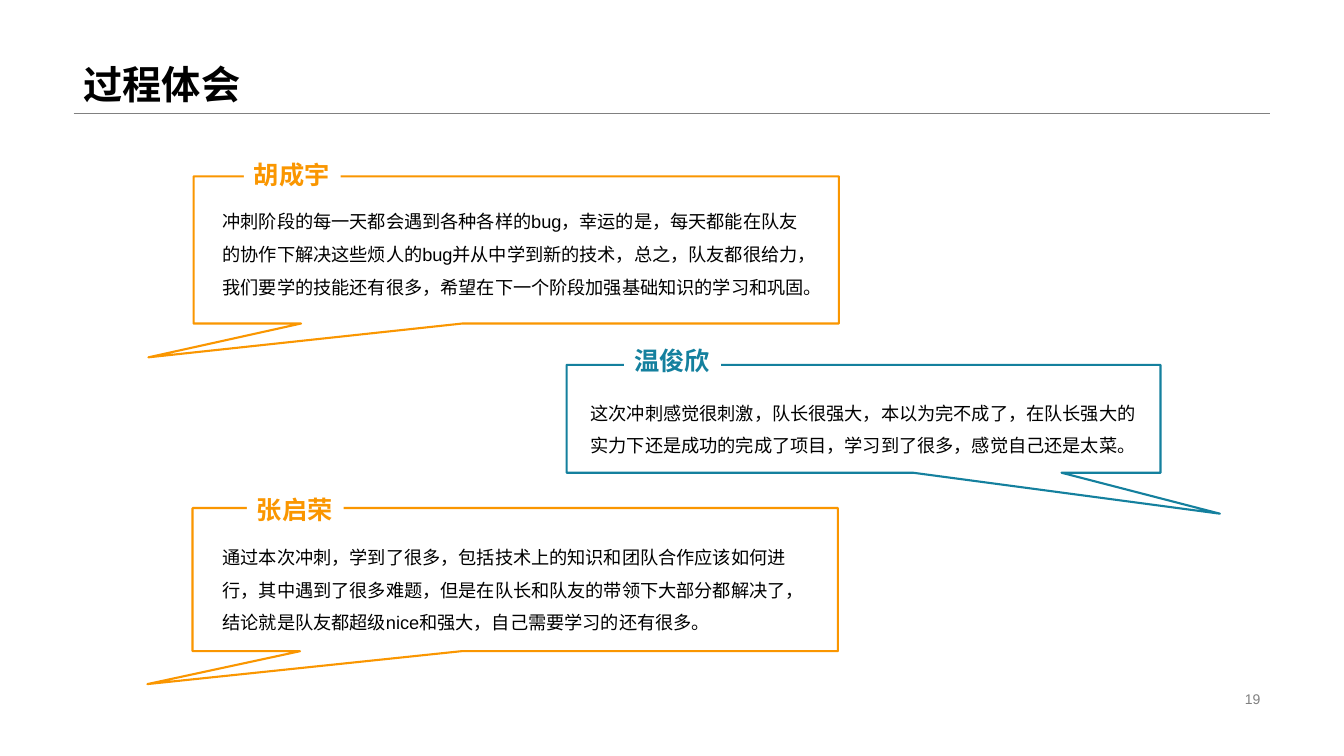
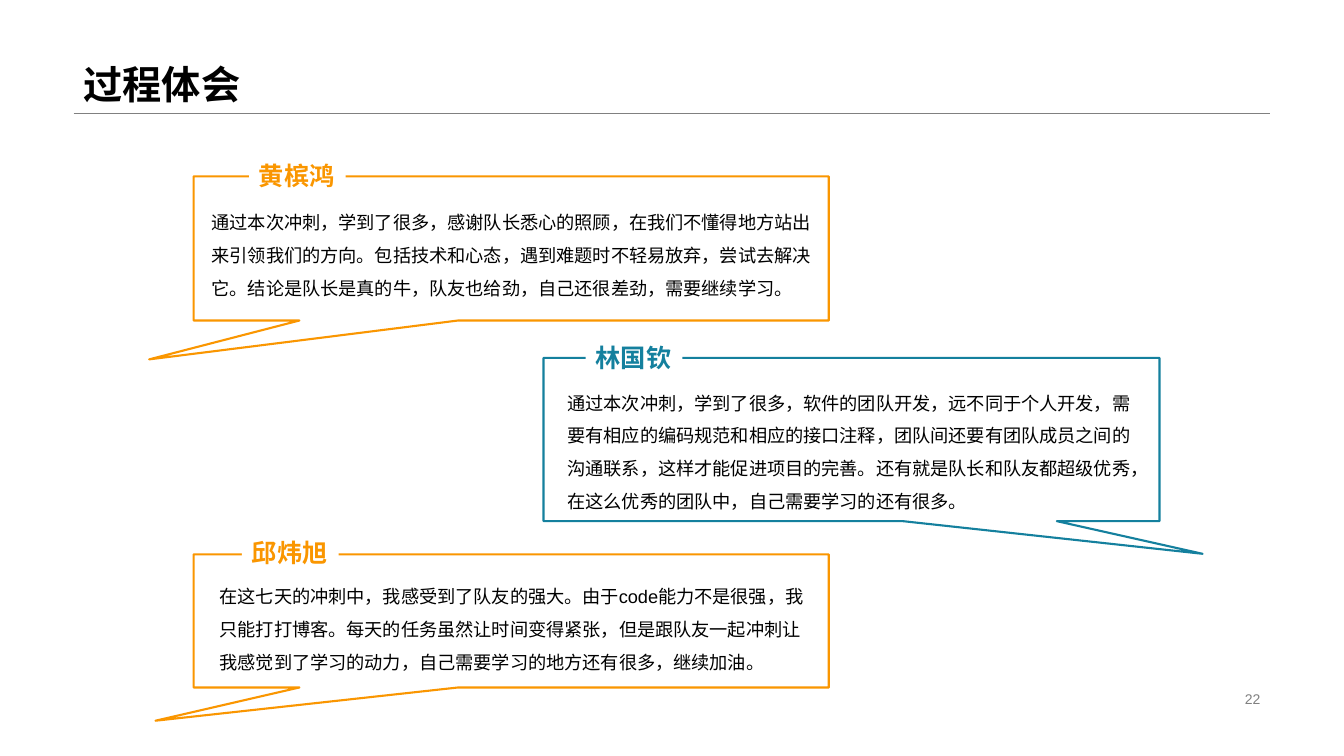
from lxml import etree
from pptx import Presentation
from pptx.dml.color import RGBColor
from pptx.enum import lang, shapes, text
from pptx.oxml.ns import qn
from pptx.util import Inches, Pt

ORANGE, TEAL = "FA9600", "14809E"
BLACK, GRAY, WHITE = "000000", "808080", "FFFFFF"
FONT = "Arial"
LEFT, WIDTH, RULE_TOP = 0.73, 11.87, 1.12
TAG_SIZE = (0.96, 0.4)
TITLE_ONLY = 5


def rgb(value):
    return RGBColor.from_string(value)


def inches(*lengths):
    return [Inches(length) for length in lengths]


class Deck:
    """Holds the shared style and the slide being filled."""

    def __init__(self):
        self.prs = Presentation()
        self.prs.slide_width, self.prs.slide_height = inches(13.33, 7.5)
        self.slide = None

    def set_text(self, frame, words, size, color, bold=False,
                 align=text.PP_ALIGN.LEFT, spacing=1.0):
        frame.text = words
        paragraph = frame.paragraphs[0]
        paragraph.alignment = align
        paragraph.line_spacing = spacing
        font = paragraph.runs[0].font
        font.name, font.size, font.bold = FONT, Pt(size), bold
        font.color.rgb = rgb(color)
        font.language_id = lang.MSO_LANGUAGE_ID.SIMPLIFIED_CHINESE

    def new_slide(self, heading, number):
        self.slide = self.prs.slides.add_slide(self.prs.slide_layouts[TITLE_ONLY])
        self.rule()
        self.title(heading)
        self.page_number(number)

    def rule(self):
        line = self.slide.shapes.add_connector(
            shapes.MSO_CONNECTOR.STRAIGHT,
            *inches(LEFT, RULE_TOP, LEFT + WIDTH, RULE_TOP))
        line.line.color.rgb = rgb(GRAY)
        line.line.width = Pt(0.25)
        etree.SubElement(line._element.spPr, qn("a:effectLst"))

    def title(self, heading):
        title = self.slide.shapes.title
        title.left, title.top, title.width, title.height = inches(
            LEFT, 0, WIDTH, RULE_TOP)
        frame = title.text_frame
        frame.auto_size = text.MSO_AUTO_SIZE.NONE
        frame.vertical_anchor = text.MSO_ANCHOR.BOTTOM
        self.set_text(frame, heading, 28, BLACK, bold=True, spacing=0.9)

    def page_number(self, number):
        frame = self.text_box((9.42, 6.82, 3.18, 0.23))
        frame.vertical_anchor = text.MSO_ANCHOR.MIDDLE
        self.set_text(frame, str(number), 10, GRAY, align=text.PP_ALIGN.RIGHT)

    def text_box(self, box):
        frame = self.slide.shapes.add_textbox(*inches(*box)).text_frame
        frame.word_wrap = True
        return frame

    def bubble(self, box, tip, color):
        """Draw an outlined callout; tip is its offset from the centre as shares of the size."""
        bubble = self.slide.shapes.add_shape(
            shapes.MSO_SHAPE.RECTANGULAR_CALLOUT, *inches(*box))
        bubble.adjustments[0], bubble.adjustments[1] = tip
        bubble.shadow.inherit = False
        bubble.fill.background()
        bubble.line.color.rgb = rgb(color)
        bubble.line.width = Pt(1.5)

    def name_tag(self, name, corner, color):
        tag = self.slide.shapes.add_shape(
            shapes.MSO_SHAPE.RECTANGLE, *inches(*corner, *TAG_SIZE))
        tag.shadow.inherit = False
        tag.fill.solid()
        tag.fill.fore_color.rgb = rgb(WHITE)
        tag.line.fill.background()
        frame = tag.text_frame
        frame.word_wrap = False
        frame.auto_size = text.MSO_AUTO_SIZE.SHAPE_TO_FIT_TEXT
        self.set_text(frame, name, 18, color, bold=True)

    def testimonial(self, name, words, color, box, tip, words_box, tag_corner):
        self.bubble(box, tip, color)
        self.set_text(self.text_box(words_box), words, 13, BLACK, spacing=1.5)
        self.name_tag(name, tag_corner, color)


# Each entry: name, words, colour, bubble box, tip, words box, tag corner
PAGES = {
    19: [
        ("胡成宇",
         "冲刺阶段的每一天都会遇到各种各样的bug，幸运的是，每天都能在队友的协作下解决这些烦人的bug"
         "并从中学到新的技术，总之，队友都很给力，我们要学的技能还有很多，"
         "希望在下一个阶段加强基础知识的学习和巩固。",
         ORANGE, (1.92, 1.75, 6.4, 1.46), (-0.57, 0.73),
         (2.11, 1.93, 6.01, 1.28), (2.42, 1.53)),
        ("温俊欣",
         "这次冲刺感觉很刺激，队长很强大，本以为完不成了，在队长强大的实力下还是成功的完成了项目，"
         "学习到了很多，感觉自己还是太菜。",
         TEAL, (5.62, 3.62, 5.89, 1.07), (0.6, 0.88),
         (5.76, 3.83, 5.66, 1.07), (6.19, 3.38)),
        ("张启荣",
         "通过本次冲刺，学到了很多，包括技术上的知识和团队合作应该如何进行，其中遇到了很多难题，"
         "但是在队长和队友的带领下大部分都解决了，结论就是队友都超级nice和强大，"
         "自己需要学习的还有很多。",
         ORANGE, (1.91, 5.04, 6.4, 1.42), (-0.57, 0.73),
         (2.11, 5.26, 5.95, 1.34), (2.45, 4.85)),
    ],
    22: [
        ("林国钦",
         "通过本次冲刺，学到了很多，软件的团队开发，远不同于个人开发，需要有相应的编码规范和相应的接口注释，"
         "团队间还要有团队成员之间的沟通联系，这样才能促进项目的完善。还有就是队长和队友都超级优秀，"
         "在这么优秀的团队中，自己需要学习的还有很多。",
         TEAL, (5.39, 3.55, 6.11, 1.62), (0.57, 0.7),
         (5.53, 3.73, 5.87, 1.32), (5.81, 3.35)),
        ("黄槟鸿",
         "通过本次冲刺，学到了很多，感谢队长悉心的照顾，在我们不懂得地方站出来引领我们的方向。"
         "包括技术和心态，遇到难题时不轻易放弃，尝试去解决它。结论是队长是真的牛，队友也给劲，"
         "自己还很差劲，需要继续学习。",
         ORANGE, (1.92, 1.75, 6.3, 1.43), (-0.57, 0.77),
         (2, 1.94, 6.22, 1.57), (2.47, 1.54)),
        ("邱炜旭",
         "在这七天的冲刺中，我感受到了队友的强大。由于code能力不是很强，我只能打打博客。"
         "每天的任务虽然让时间变得紧张，但是跟队友一起冲刺让我感觉到了学习的动力，"
         "自己需要学习的地方还有很多，继续加油。",
         ORANGE, (1.92, 5.5, 6.3, 1.32), (-0.56, 0.75),
         (2.08, 5.65, 6.03, 1.25), (2.4, 5.28)),
    ],
}


def main():
    deck = Deck()
    for number, testimonials in PAGES.items():
        deck.new_slide("过程体会", number)
        for testimonial in testimonials:
            deck.testimonial(*testimonial)
    deck.prs.save("out.pptx")


if __name__ == "__main__":
    main()
